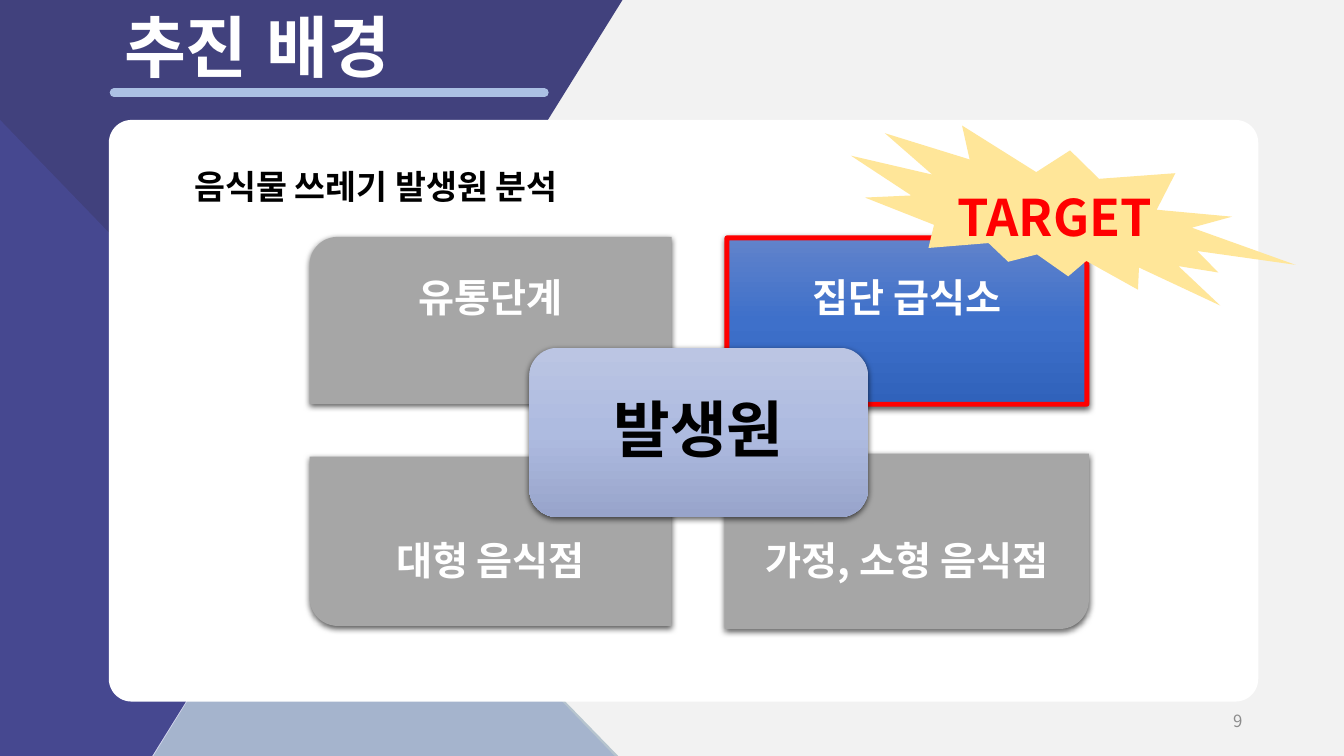
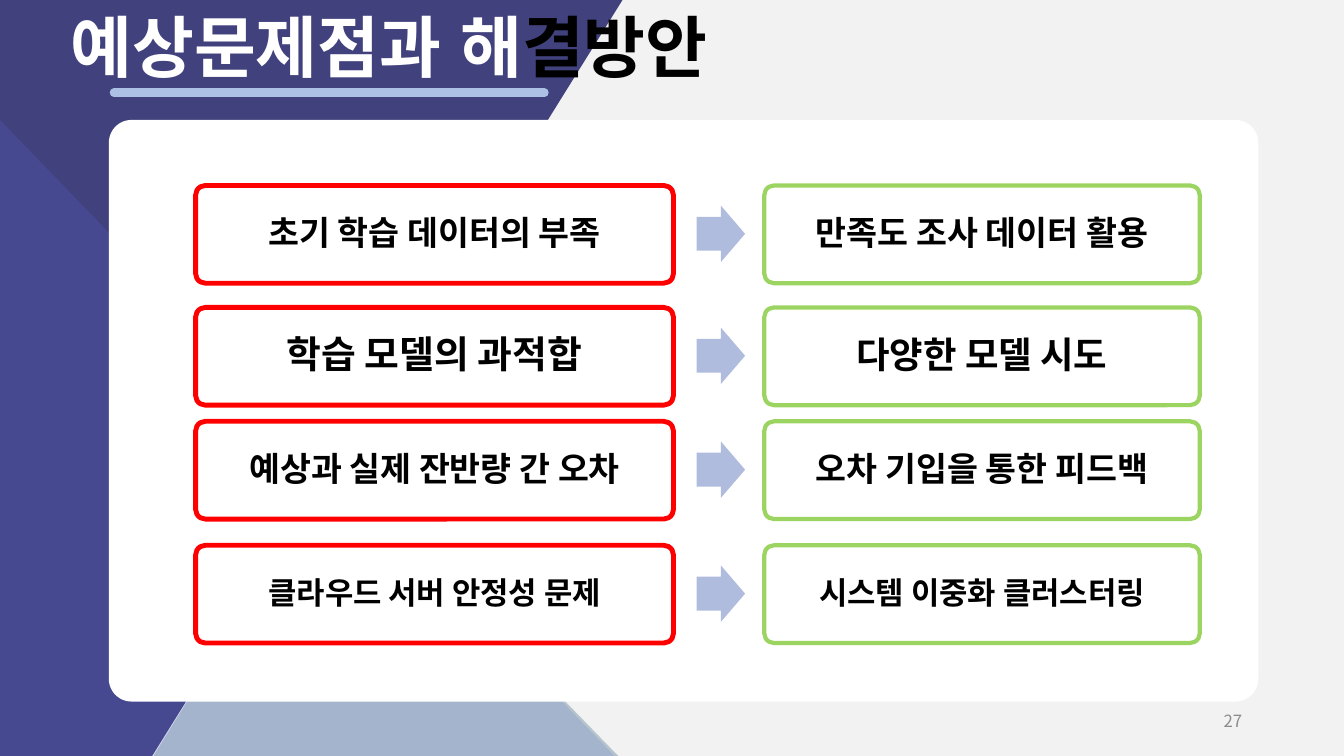
from lxml import etree
from pptx import Presentation
from pptx.dml.color import RGBColor
from pptx.enum.shapes import MSO_CONNECTOR, MSO_SHAPE
from pptx.enum.text import MSO_ANCHOR, MSO_AUTO_SIZE, PP_ALIGN
from pptx.oxml.ns import qn
from pptx.util import Inches, Pt

PARALLELOGRAM = MSO_SHAPE.PARALLELOGRAM
TRIANGLE = MSO_SHAPE.ISOSCELES_TRIANGLE
ROUNDED = MSO_SHAPE.ROUNDED_RECTANGLE
ONE_ROUND = MSO_SHAPE.ROUND_1_RECTANGLE
ARROW = MSO_SHAPE.RIGHT_ARROW
BURST = MSO_SHAPE.EXPLOSION2
STRAIGHT = MSO_CONNECTOR.STRAIGHT
TOP, MIDDLE = MSO_ANCHOR.TOP, MSO_ANCHOR.MIDDLE
LEFT, CENTER, RIGHT = PP_ALIGN.LEFT, PP_ALIGN.CENTER, PP_ALIGN.RIGHT
NO_AUTOFIT = MSO_AUTO_SIZE.NONE

TITLE_FONT = "Arial"
BODY_FONT = "Noto Sans CJK KR"

BLACK = RGBColor(0x00, 0x00, 0x00)
WHITE = RGBColor(0xFF, 0xFF, 0xFF)
RED = RGBColor(0xFF, 0x00, 0x00)
GREEN = RGBColor(0x92, 0xD0, 0x50)
GRAY = RGBColor(0xA6, 0xA6, 0xA6)
NUMBER_GRAY = RGBColor(0x8C, 0x8C, 0x8C)
BACKGROUND = RGBColor(0xF2, 0xF2, 0xF2)
NAVY = RGBColor(0x30, 0x30, 0x72)
VIOLET = RGBColor(0x60, 0x6B, 0xF1)
TEAL = RGBColor(0x38, 0x63, 0x83)
RULE_BLUE = RGBColor(0xAB, 0xC0, 0xE4)
ARROW_BLUE = RGBColor(0xB0, 0xBC, 0xDE)
YELLOW = RGBColor(0xFF, 0xE6, 0x99)
BLUE_STOPS = (RGBColor(0x61, 0x83, 0xCB), RGBColor(0x3E, 0x70, 0xCA),
              RGBColor(0x30, 0x62, 0xBB))
LAVENDER_STOPS = (RGBColor(0xBB, 0xC5, 0xE3), RGBColor(0xAE, 0xBB, 0xE0),
                  RGBColor(0x98, 0xA4, 0xCB))


def set_alpha(shape, percent):
    """Make every solid colour of the shape partly transparent."""
    for color in shape.element.spPr.iter(qn("a:srgbClr")):
        etree.SubElement(color, qn("a:alpha"), val=str(percent * 1000))


def set_gradient(shape, colors):
    """Fill from top to bottom with evenly spaced colours."""
    shape.fill.gradient()
    shape.fill.gradient_angle = 270
    stops = shape.element.spPr.find(".//" + qn("a:gsLst"))
    stops.clear()
    for index, color in enumerate(colors):
        position = 100000 * index // (len(colors) - 1)
        stop = etree.SubElement(stops, qn("a:gs"), pos=str(position))
        etree.SubElement(stop, qn("a:srgbClr"), val=str(color))


def add_shadow(shape):
    effects = shape.element.spPr.find(qn("a:effectLst"))
    shadow = etree.SubElement(effects, qn("a:outerShdw"), blurRad=str(Pt(4.5)),
                              dist=str(Pt(1.5)), dir="5400000", rotWithShape="0")
    color = etree.SubElement(shadow, qn("a:srgbClr"), val=str(BLACK))
    etree.SubElement(color, qn("a:alpha"), val="63000")


def add_figure(page, kind, at, fill=None, line=None, width=3.5, adjustments=(),
               rotation=0):
    """Add a preset shape; fill is a colour, a tuple of gradient colours or None."""
    shape = page.shapes.add_shape(kind, *map(Inches, at))
    shape.shadow.inherit = False
    shape.rotation = rotation
    for index, value in enumerate(adjustments):
        shape.adjustments[index] = value
    if fill is None:
        shape.fill.background()
    elif isinstance(fill, RGBColor):
        shape.fill.solid()
        shape.fill.fore_color.rgb = fill
    else:
        set_gradient(shape, fill)
    if line is None:
        shape.line.fill.background()
    else:
        shape.line.color.rgb = line
        shape.line.width = Pt(width)
    return shape


def set_font(paragraph, name, size, color=BLACK, bold=True):
    font = paragraph.font
    font.name, font.size, font.bold = name, Pt(size), bold
    font.color.rgb = color
    latin = paragraph._p.pPr.find(".//" + qn("a:latin"))
    latin.addnext(latin.makeelement(qn("a:ea"), {"typeface": name}))


def write(shape, text, size, color=BLACK, align=CENTER, anchor=MIDDLE, bold=True,
          spacing=None):
    frame = shape.text_frame
    frame.word_wrap = True
    frame.vertical_anchor = anchor
    paragraph = frame.paragraphs[0]
    paragraph.text = text
    paragraph.alignment = align
    if spacing:
        paragraph.line_spacing = spacing
    set_font(paragraph, BODY_FONT, size, color, bold)


def add_text(page, at, text, size, **style):
    write(page.shapes.add_textbox(*map(Inches, at)), text, size, **style)


def add_backdrop(page):
    page.background.fill.solid()
    page.background.fill.fore_color.rgb = BACKGROUND
    band = add_figure(page, PARALLELOGRAM, (-10.77, -0.54, 17.28, 8.31), NAVY,
                      adjustments=[0.622])
    set_alpha(band, 91)
    glow = add_figure(page, PARALLELOGRAM, (-13.54, 0.74, 21.52, 8.71), VIOLET,
                      adjustments=[0.966])
    glow.element.spPr.find(qn("a:xfrm")).set("flipH", "1")
    set_alpha(glow, 17)

    rule = page.shapes.add_connector(STRAIGHT, Inches(1.13), Inches(0.92),
                                     Inches(5.4), Inches(0.92))
    rule.line.color.rgb = RULE_BLUE
    rule.line.width = Pt(6)
    properties = rule.element.spPr
    properties.find(qn("a:ln")).set("cap", "rnd")
    etree.SubElement(properties, qn("a:effectLst"))

    peak = add_figure(page, TRIANGLE, (1.49, 4.6, 4.69, 2.95), TEAL,
                      adjustments=[0.389])
    set_alpha(peak, 32)
    add_figure(page, ROUNDED, (1.08, 1.19, 11.4, 5.77), WHITE, adjustments=[0.039])


def add_title(page, spans, left, width):
    """Format the title placeholder; spans are (text, colour) pairs."""
    title = page.shapes.title
    title.element.getparent().append(title.element)
    title.left, title.top = Inches(left), Inches(0)
    title.width, title.height = Inches(width), Inches(0.91)
    frame = title.text_frame
    frame.auto_size = NO_AUTOFIT
    frame.word_wrap = True
    frame.vertical_anchor = TOP
    paragraph = frame.paragraphs[0]
    paragraph.alignment = LEFT
    set_font(paragraph, TITLE_FONT, 48, WHITE)
    for text, color in spans:
        span = paragraph.add_run()
        span.text = text
        span.font.color.rgb = color


def add_page(deck, number, spans, title_left, title_width):
    page = deck.slides.add_slide(deck.slide_layouts[5])
    add_backdrop(page)
    add_title(page, spans, title_left, title_width)
    add_text(page, (9.42, 6.95, 3, 0.4), number, 12, color=NUMBER_GRAY,
             align=RIGHT, bold=False)
    return page


def add_quadrant(page, at, rotation, text, text_top, fill=GRAY, line=None):
    """Add a box whose round corner is turned outwards, with upright text."""
    left, top, width, height = at
    box = at
    if rotation % 180:
        shift = (width - height) / 2
        box = (left + shift, top - shift, height, width)
    add_shadow(add_figure(page, ONE_ROUND, box, fill, line, rotation=rotation))
    add_text(page, (left, text_top, width, height * 0.75), text, 28, color=WHITE,
             spacing=0.9)


def build_sources(deck):
    page = add_page(deck, "9", [("추진 배경", WHITE)], 1.13, 4.47)
    add_text(page, (1.83, 1.6, 5.88, 0.5), "음식물 쓰레기 발생원 분석", 24,
             align=LEFT, anchor=TOP)
    add_quadrant(page, (3.07, 2.35, 3.59, 1.66), 270, "유통단계", 2.35)
    add_quadrant(page, (7.21, 2.36, 3.57, 1.65), 0, "집단 급식소", 2.36,
                 BLUE_STOPS, RED)
    add_quadrant(page, (3.07, 4.53, 3.59, 1.68), 180, "대형 음식점", 4.95)
    add_quadrant(page, (7.19, 4.5, 3.61, 1.74), 90, "가정, 소형 음식점", 4.93)
    center = add_figure(page, ROUNDED, (5.25, 3.45, 3.36, 1.68), LAVENDER_STOPS)
    add_shadow(center)
    write(center, "발생원", 44, spacing=0.9)
    add_figure(page, BURST, (8.36, 1.4, 4.52, 1.51), YELLOW, rotation=19.3)
    add_text(page, (8.51, 1.8, 3.9, 0.71), "TARGET", 36, color=RED, anchor=TOP)


def add_solution_row(page, top, problem, problem_size, solution, solution_size):
    problem_box = add_figure(page, ROUNDED, (1.94, top, 4.74, 0.97), line=RED,
                             adjustments=[0.1])
    write(problem_box, problem, problem_size, spacing=0.9)
    add_figure(page, ARROW, (6.91, top + 0.2, 0.48, 0.56), ARROW_BLUE,
               adjustments=[0.6, 0.5])
    solution_box = add_figure(page, ROUNDED, (7.58, top, 4.32, 0.97), line=GREEN,
                              width=3, adjustments=[0.1])
    set_alpha(solution_box, 89)
    write(solution_box, solution, solution_size, spacing=0.9)


def build_solutions(deck):
    page = add_page(deck, "27", [("예상문제점과 해", WHITE), ("결방안", BLACK)],
                    0.6, 7.19)
    rows = [
        (1.84, "초기 학습 데이터의 부족", 24, "만족도 조사 데이터 활용", 24),
        (3.05, "학습 모델의 과적합", 27, "다양한 모델 시도", 26),
        (4.18, "예상과 실제 잔반량 간 오차", 24, "오차 기입을 통한 피드백", 24),
        (5.41, "클라우드 서버 안정성 문제", 22, "시스템 이중화 클러스터링", 22),
    ]
    for row in rows:
        add_solution_row(page, *row)


def main():
    deck = Presentation()
    deck.slide_width, deck.slide_height = Inches(13.33), Inches(7.5)
    build_sources(deck)
    build_solutions(deck)
    deck.save("out.pptx")


if __name__ == "__main__":
    main()
